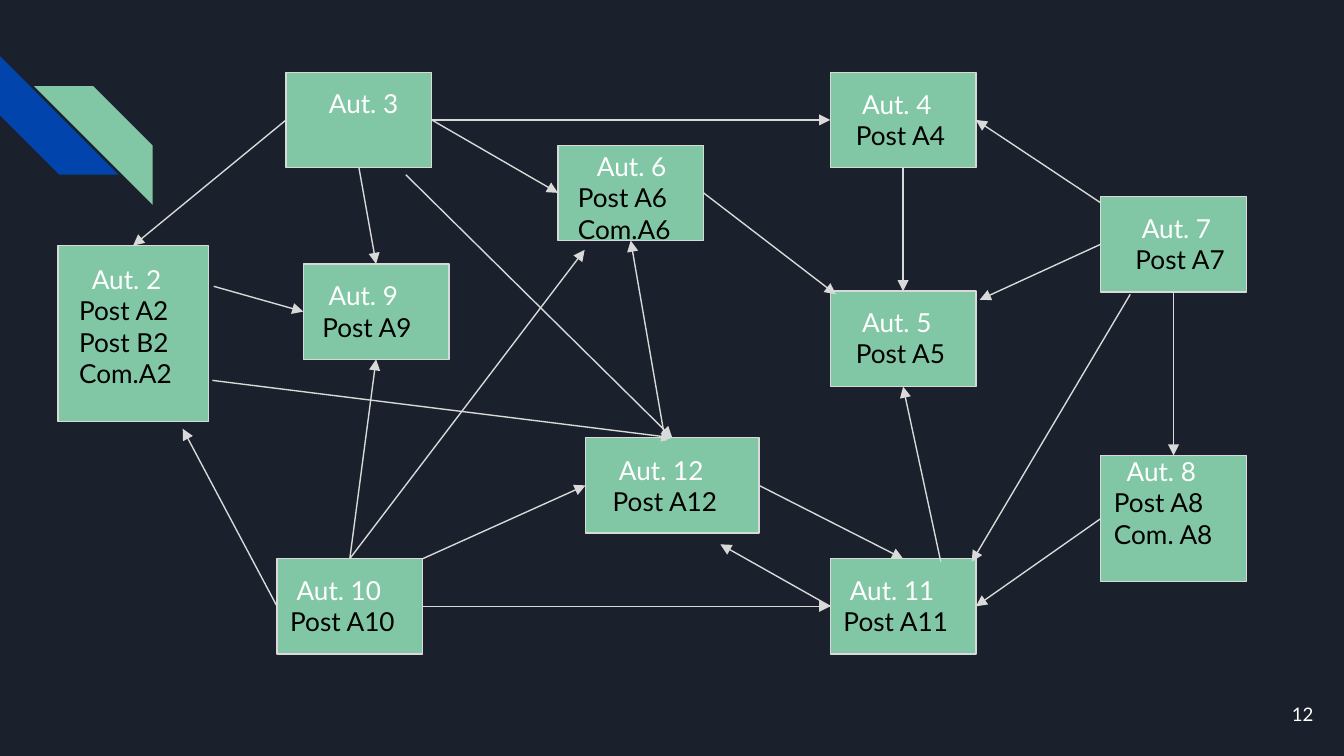
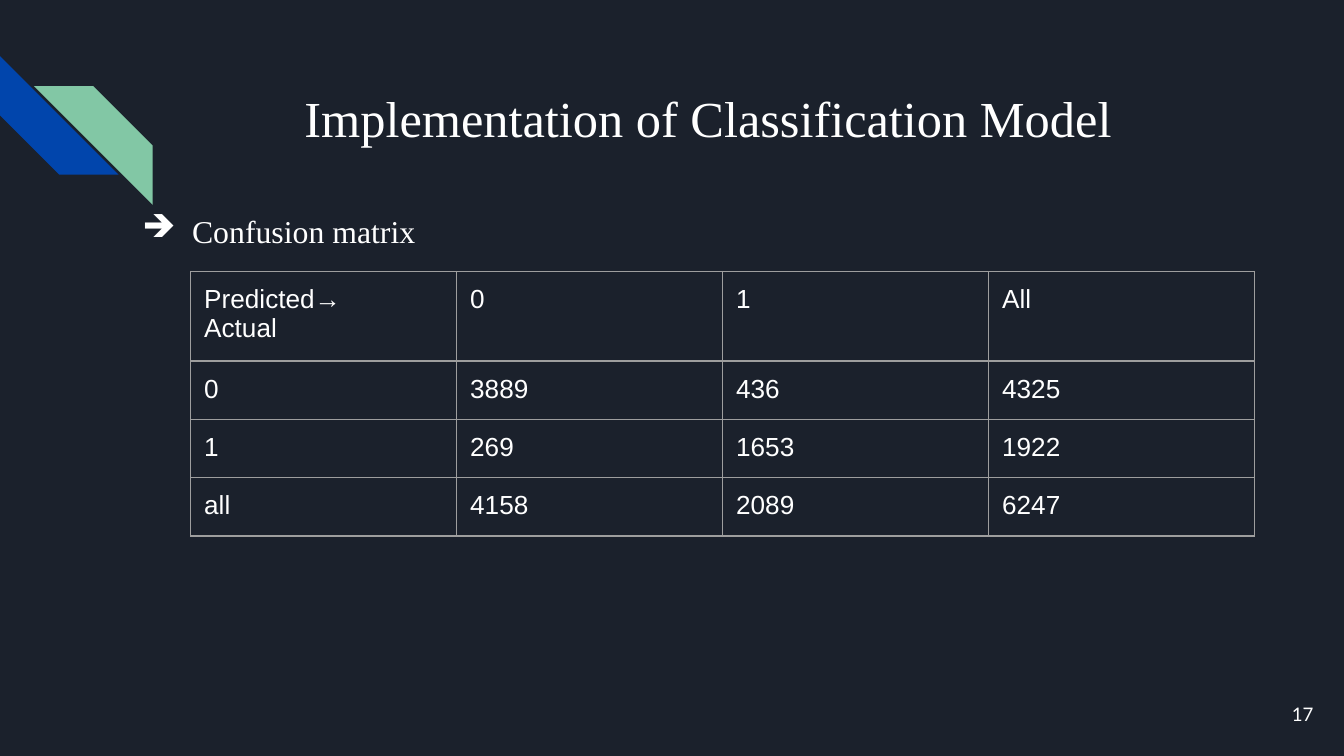
from lxml import etree
from pptx import Presentation
from pptx.dml.color import RGBColor
from pptx.enum.shapes import MSO_CONNECTOR, MSO_SHAPE
from pptx.enum.text import MSO_ANCHOR, PP_ALIGN
from pptx.oxml.ns import qn
from pptx.util import Pt

NIGHT = RGBColor(0x1B, 0x21, 0x2C)
BLUE = RGBColor(0x01, 0x45, 0xAC)
GREEN = RGBColor(0x82, 0xC7, 0xA5)
PALE = RGBColor(0xD9, 0xD9, 0xD9)
GREY = RGBColor(0x9E, 0x9E, 0x9E)
WHITE = RGBColor(0xFF, 0xFF, 0xFF)
BLACK = RGBColor(0x00, 0x00, 0x00)

LATO, TIMES, ARIAL = "Lato", "Times New Roman", "Arial"
INSET = 7.2
LINE_HEIGHT = 16.8
TOP, LEFT, BOTTOM, RIGHT = range(4)
STANDARD = (78, 51.1)

# Author: box left and top, box size, label offset, heading indent, post indent, posts
AUTHORS = {
    2: ((31, 131.6), (80.6, 94.3), (4.3, 2.2), 6.8, 0, ["Post A2", "Post B2", "Com.A2"]),
    12: ((313.7, 234.5), (92.9, 51.1), (7.4, 1.7), 3.4, 0, ["Post A12"]),
    6: ((298.9, 77.8), STANDARD, (-6.6, -4.4), 20.4, 10.2, ["Post A6", "Com.A6"]),
    7: ((589.7, 105.3), STANDARD, (11.5, 1.2), 3.4, 0, ["Post A7"]),
    10: ((148.4, 299.3), STANDARD, (0, 1), 3.4, 0, ["Post A10"]),
    11: ((444.8, 299.3), STANDARD, (0, 1), 3.4, 0, ["Post A11"]),
    3: ((153.3, 38.7), STANDARD, (2.2, 1), 13.6, 0, []),
    4: ((444.8, 38.7), STANDARD, (6.6, 1.5), 3.4, 0, ["Post A4"]),
    5: ((444.8, 156), STANDARD, (6.6, 1), 3.4, 0, ["Post A5"]),
    8: ((589.7, 244), (78, 67.7), None, 6.8, 0, ["Post A8", "Com. A8"]),
    9: ((162.5, 141.4), STANDARD, (3.1, 1.2), 3.4, 0, ["Post A9"]),
}


class Side:
    """Middle of one side of an author's box."""

    def __init__(self, author, site):
        self.author, self.site = author, site


# Arrows run from the first end to the second: a box side or a free point
ARROWS = [
    ((113.8, 203.8), Side(12, TOP)),
    ((356.4, 236.2), Side(6, BOTTOM)),
    (Side(3, RIGHT), Side(4, LEFT)),
    ((217.4, 93.6), Side(12, TOP)),
    (Side(10, TOP), Side(9, BOTTOM)),
    (Side(10, RIGHT), Side(11, LEFT)),
    (Side(12, RIGHT), Side(11, TOP)),
    (Side(4, BOTTOM), Side(5, TOP)),
    ((114.5, 153.4), Side(9, LEFT)),
    (Side(3, BOTTOM), Side(9, TOP)),
    (Side(7, LEFT), (524.9, 160.6)),
    (Side(6, RIGHT), (447.8, 157.7)),
    ((504, 301), Side(5, BOTTOM)),
    (Side(8, LEFT), Side(11, RIGHT)),
    (Side(7, BOTTOM), Side(8, TOP)),
    ((605.5, 157.7), (520.6, 301)),
    (Side(10, LEFT), (97.9, 229.7)),
    (Side(3, LEFT), Side(2, TOP)),
    (Side(3, RIGHT), Side(6, LEFT)),
    (Side(10, TOP), (313.2, 133.9)),
    ((589.7, 108.7), Side(4, RIGHT)),
    (Side(11, LEFT), (385.9, 291.6)),
    ((226.1, 299.5), Side(12, LEFT)),
]

CONFUSION = [
    ["Predicted→\nActual", "0", "1", "All"],
    ["0", "3889", "436", "4325"],
    ["1", "269", "1653", "1922"],
    ["all", "4158", "2089", "6247"],
]


def points(*lengths):
    return [Pt(length) for length in lengths]


def style(paragraph, font, size, color=WHITE):
    paragraph.font.name = font
    paragraph.font.size = Pt(size)
    paragraph.font.color.rgb = color


def indent(paragraph, left, first=0):
    properties = paragraph._p.get_or_add_pPr()
    properties.set("marL", str(Pt(left)))
    properties.set("indent", str(Pt(first)))


def set_insets(frame):
    frame.word_wrap = True
    frame.margin_left = frame.margin_right = Pt(INSET)
    frame.margin_top = frame.margin_bottom = Pt(INSET)


def add_text(slide, area, text, font, size, align=PP_ALIGN.LEFT, anchor=MSO_ANCHOR.TOP):
    frame = slide.shapes.add_textbox(*points(*area)).text_frame
    set_insets(frame)
    frame.vertical_anchor = anchor
    paragraph = frame.paragraphs[0]
    paragraph.text = text
    paragraph.alignment = align
    style(paragraph, font, size)
    return paragraph


def add_filled(slide, kind, area, color):
    shape = slide.shapes.add_shape(kind, *points(*area))
    shape.shadow.inherit = False
    shape.fill.solid()
    shape.fill.fore_color.rgb = color
    shape.line.fill.background()
    return shape


def add_base_slide(deck, number):
    """Dark background, two corner stripes and the slide number."""
    slide = deck.slides.add_slide(deck.slide_layouts[6])
    slide.background.fill.solid()
    slide.background.fill.fore_color.rgb = NIGHT
    for left, top, turn, color in ((0, 30, 270, BLUE), (18.2, 46.2, 90, GREEN)):
        stripe = add_filled(slide, MSO_SHAPE.DIAGONAL_STRIPE, (left, top, 63.6, 63.6), color)
        stripe.rotation = turn
    add_text(slide, (667.6, 367.2, 43.2, 31), str(number), LATO, 10,
             PP_ALIGN.RIGHT, MSO_ANCHOR.MIDDLE)
    return slide


def add_author_box(slide, position, size):
    box = add_filled(slide, MSO_SHAPE.RECTANGLE, (*position, *size), GREEN)
    box.line.color.rgb = PALE
    box.line.width = Pt(0.75)
    return box


def add_arrow(slide, boxes, start, end):
    ends = [Pt(0) if isinstance(tip, Side) else Pt(value)
            for tip in (start, end)
            for value in ((0, 0) if isinstance(tip, Side) else tip)]
    arrow = slide.shapes.add_connector(MSO_CONNECTOR.STRAIGHT, *ends)
    for tip, connect in ((start, arrow.begin_connect), (end, arrow.end_connect)):
        if isinstance(tip, Side):
            connect(boxes[tip.author], tip.site)
    arrow.line.color.rgb = PALE
    arrow.line.width = Pt(0.75)
    line = arrow.line._get_or_add_ln()
    etree.SubElement(line, qn("a:tailEnd"), type="triangle")
    etree.SubElement(arrow._element.spPr, qn("a:effectLst"))


def add_author_label(slide, box, author):
    (left, top), (width, _), offset, heading_indent, post_indent, posts = AUTHORS[author]
    if offset is None:
        # The text fills this box from its upper edge
        frame = box.text_frame
        set_insets(frame)
        frame.margin_top = 0
    else:
        height = 2 * INSET + LINE_HEIGHT * max(2, 1 + len(posts))
        area = (left + offset[0], top + offset[1], width, height)
        frame = slide.shapes.add_textbox(*points(*area)).text_frame
        set_insets(frame)
    frame.vertical_anchor = MSO_ANCHOR.TOP
    frame.text = "\n".join([f"Aut. {author}", *posts])
    for row, paragraph in enumerate(frame.paragraphs):
        paragraph.alignment = PP_ALIGN.LEFT
        style(paragraph, LATO, 14, BLACK if row else WHITE)
        indent(paragraph, post_indent if row else heading_indent)


def add_bullet(paragraph, symbol):
    indent(paragraph, 36, -26.6)
    paragraph.line_spacing = 1.15
    properties = paragraph._p.get_or_add_pPr()
    color = etree.SubElement(properties, qn("a:buClr"))
    etree.SubElement(color, qn("a:srgbClr"), val=str(WHITE))
    etree.SubElement(properties, qn("a:buChar"), char=symbol)


def add_borders(cell):
    properties = cell._tc.get_or_add_tcPr()
    for position, edge in enumerate(("a:lnL", "a:lnR", "a:lnT", "a:lnB")):
        border = etree.Element(qn(edge), w=str(Pt(0.75)))
        fill = etree.SubElement(border, qn("a:solidFill"))
        etree.SubElement(fill, qn("a:srgbClr"), val=str(GREY))
        properties.insert(position, border)


def add_matrix(slide, left, top, column_width, row_height, rows):
    columns = len(rows[0])
    area = points(left, top, column_width * columns, row_height * len(rows))
    matrix = slide.shapes.add_table(len(rows), columns, *area).table
    matrix.first_row = matrix.horz_banding = False
    for r, values in enumerate(rows):
        for c, value in enumerate(values):
            cell = matrix.cell(r, c)
            cell.text = value
            cell.margin_left = cell.margin_right = Pt(INSET)
            cell.margin_top = cell.margin_bottom = Pt(INSET)
            cell.fill.background()
            add_borders(cell)
            for paragraph in cell.text_frame.paragraphs:
                style(paragraph, ARIAL, 14)


def build_author_network(deck):
    slide = add_base_slide(deck, 12)
    boxes = {author: add_author_box(slide, position, size)
             for author, (position, size, *_) in AUTHORS.items()}
    for start, end in ARROWS:
        add_arrow(slide, boxes, start, end)
    for author, box in boxes.items():
        add_author_label(slide, box, author)


def build_confusion_matrix(deck):
    slide = add_base_slide(deck, 17)
    add_text(slide, (102.2, 39.6, 554.4, 72), "Implementation of Classification Model",
             TIMES, 27, PP_ALIGN.CENTER)
    topic = add_text(slide, (59.8, 103, 627.8, 49), "Confusion matrix", TIMES, 17)
    add_bullet(topic, "➔")
    add_matrix(slide, 102.2, 145.4, 142.5, 30, CONFUSION)


def main():
    deck = Presentation()
    deck.slide_width, deck.slide_height = points(720, 405)
    build_author_network(deck)
    build_confusion_matrix(deck)
    deck.save("out.pptx")


if __name__ == "__main__":
    main()
